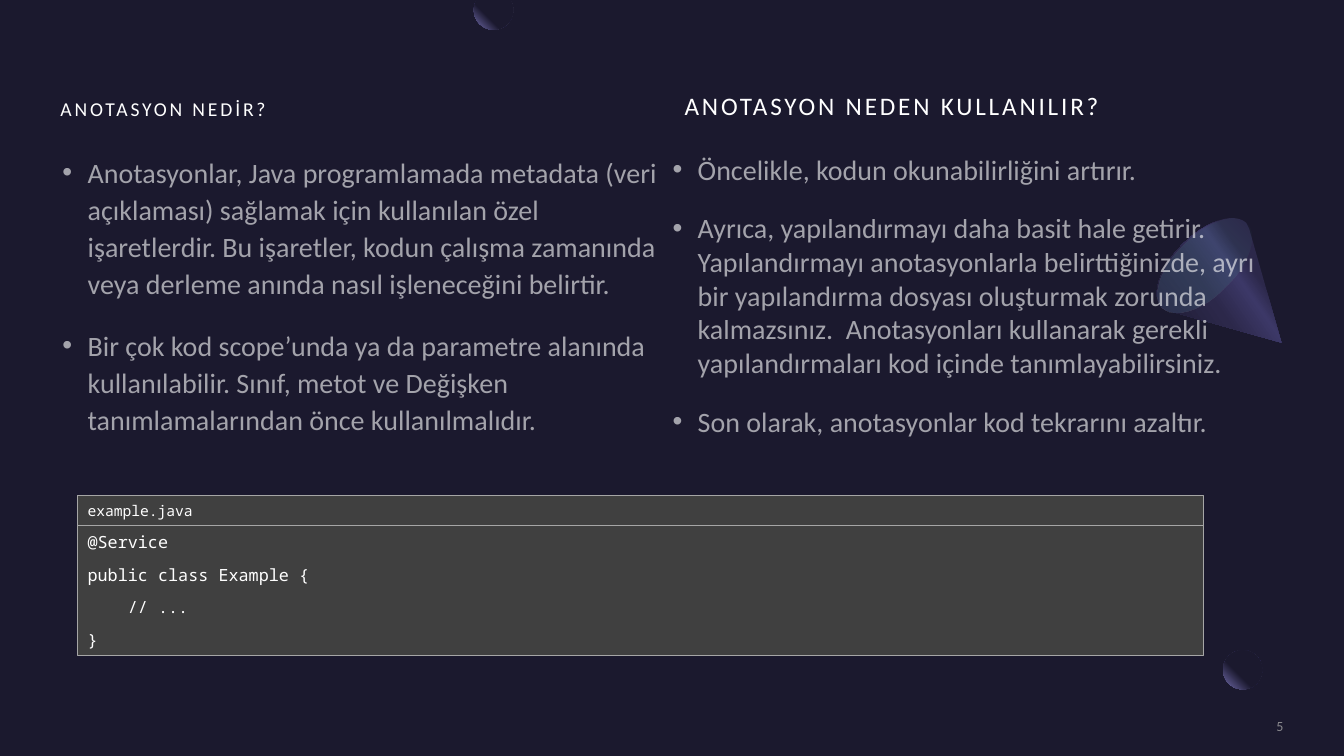
from math import asin, cos, pi, sin

from lxml import etree
from pptx import Presentation
from pptx.dml.color import RGBColor
from pptx.enum.shapes import MSO_SHAPE
from pptx.enum.text import MSO_ANCHOR, PP_ALIGN
from pptx.oxml.ns import qn
from pptx.util import Inches, Pt

OVAL, RECTANGLE = MSO_SHAPE.OVAL, MSO_SHAPE.RECTANGLE
TOP, MIDDLE, BOTTOM = MSO_ANCHOR.TOP, MSO_ANCHOR.MIDDLE, MSO_ANCHOR.BOTTOM
LEFT, RIGHT = PP_ALIGN.LEFT, PP_ALIGN.RIGHT

COLORS = {
    "night": "1B192E",
    "lilac": "7771B2",
    "dusk": "2C284A",
    "violet": "3C3867",
    "indigo": "454075",
    "mint": "5BEFC1",
    "panel": "404040",
    "grey": "A6A6A6",
    "white": "FFFFFF",
}
BODY_FONT = "Calibri"
CODE_FONT = "Noto Sans Mono"
SPHERE_STOPS = [(60, "night", 100), (100, "lilac", 100)]


def child(parent, tag, **attributes):
    return etree.SubElement(parent, qn(tag), {k: str(v) for k, v in attributes.items()})


def set_alpha(fill_parent, percent):
    color = next(fill_parent.iter(qn("a:srgbClr")))
    child(color, "a:alpha", val=percent * 1000)


def bezier(start, first, second, end, steps=12):
    return [
        tuple(
            (1 - t) ** 3 * a + 3 * t * (1 - t) ** 2 * b + 3 * t * t * (1 - t) * c + t ** 3 * d
            for a, b, c, d in zip(start, first, second, end)
        )
        for t in (step / steps for step in range(1, steps + 1))
    ]


class SlideBuilder:
    def __init__(self, presentation):
        self.slide = presentation.slides.add_slide(presentation.slide_layouts[5])
        self.shapes = self.slide.shapes
        background = self.slide.background.fill
        background.solid()
        background.fore_color.rgb = self.color("night")

    def color(self, name):
        return RGBColor.from_string(COLORS[name])

    def paint(self, shape, fill, alpha=100, line=None):
        shape.shadow.inherit = False
        shape.fill.solid()
        shape.fill.fore_color.rgb = self.color(fill)
        if alpha < 100:
            set_alpha(shape._element.spPr.find(qn("a:solidFill")), alpha)
        if line:
            shape.line.color.rgb = self.color(line)
            shape.line.width = Pt(0.75)
        else:
            shape.line.fill.background()

    def gradient(self, shape, stops, angle=None):
        self.paint(shape, "night")
        solid = shape._element.spPr.find(qn("a:solidFill"))
        grad = etree.Element(qn("a:gradFill"), rotWithShape="1")
        stop_list = child(grad, "a:gsLst")
        for position, name, alpha in stops:
            stop = child(stop_list, "a:gs", pos=position * 1000)
            tone = child(stop, "a:srgbClr", val=COLORS[name])
            if alpha < 100:
                child(tone, "a:alpha", val=alpha * 1000)
        if angle is None:
            focus = child(grad, "a:path", path="circle")
            child(focus, "a:fillToRect", l=100000, b=100000)
        else:
            child(grad, "a:lin", ang=angle * 60000, scaled=0)
        solid.getparent().replace(solid, grad)

    def shape(self, kind, left, top, width, height):
        return self.shapes.add_shape(
            kind, Inches(left), Inches(top), Inches(width), Inches(height))

    def outline(self, points):
        scaled = [(Inches(x), Inches(y)) for x, y in points]
        builder = self.shapes.build_freeform(*scaled[0])
        builder.add_line_segments(scaled[1:], close=True)
        return builder.convert_to_shape()

    def set_text(self, shape, lines, size, color="white", alpha=100, font=BODY_FONT, inset=0,
                 anchor=TOP, align=LEFT, spacing=1.0, before=0, after=0, tracking=0,
                 bullets=False):
        frame = shape.text_frame
        frame.word_wrap = True
        frame.vertical_anchor = anchor
        frame.margin_left = frame.margin_right = Inches(inset)
        frame.margin_top = frame.margin_bottom = Inches(inset / 2)
        frame.text = "\n".join(lines)
        for index, paragraph in enumerate(frame.paragraphs):
            paragraph.alignment = align
            paragraph.line_spacing = spacing
            paragraph.space_before = Pt(before if index else 0)
            paragraph.space_after = Pt(after)
            if bullets:
                properties = paragraph._p.get_or_add_pPr()
                properties.set("marL", str(Inches(0.25)))
                properties.set("indent", str(-Inches(0.25)))
                child(properties, "a:buFont", typeface="Arial")
                child(properties, "a:buChar", char="•")
            for run in paragraph.runs:
                run.font.size = Pt(size)
                run.font.name = font
                run.font.color.rgb = self.color(color)
                if alpha < 100:
                    set_alpha(run._r.rPr, alpha)
                if tracking:
                    run._r.rPr.set("spc", str(tracking * 100))

    def text(self, left, top, width, height, lines, size, **style):
        box = self.shapes.add_textbox(
            Inches(left), Inches(top), Inches(width), Inches(height))
        self.set_text(box, lines, size, **style)

    def title(self, left, top, width, height, heading, size, **style):
        title = self.shapes.title
        title.left, title.top = Inches(left), Inches(top)
        title.width, title.height = Inches(width), Inches(height)
        self.set_text(title, [heading], size, **style)

    def code_panel(self, top, height, lines, size):
        panel = self.shape(RECTANGLE, 0.77, top, 11.17, height)
        self.paint(panel, "panel", line="grey")
        self.set_text(panel, lines, size, font=CODE_FONT, inset=0.1, spacing=1.07, after=8)


def decorate(page):
    page.gradient(page.shape(OVAL, 12.13, 6.45, 0.39, 0.39), SPHERE_STOPS)
    page.paint(page.shape(RECTANGLE, 12.52, 6.37, 0.41, 0.39), "night", alpha=80)

    cone = [(12.71, 3.4), (11.58, 3.08), (11.52, 3.05)]
    cone += bezier((11.52, 3.05), (11.41, 2.93), (11.5, 2.65), (11.73, 2.42))
    cone += bezier((11.73, 2.42), (11.96, 2.19), (12.24, 2.1), (12.36, 2.21))
    cone += [(12.39, 2.27)]
    page.gradient(
        page.outline(cone),
        [(30, "dusk", 100), (40, "violet", 100), (60, "dusk", 100), (100, "night", 100)],
        angle=145)
    cone_base = page.shape(OVAL, 11.65, 2.04, 0.59, 1.18)
    cone_base.rotation = 225
    page.gradient(cone_base, [(0, "indigo", 33), (100, "mint", 0)], angle=90)

    radius, center_x, center_y = 0.195, 4.895, 0.1
    start = -asin(center_y / radius)
    sweep = pi - 2 * start
    angles = [start + sweep * step / 40 for step in range(41)]
    half_sphere = [(center_x + radius * cos(a), center_y + radius * sin(a)) for a in angles]
    page.gradient(page.outline(half_sphere), SPHERE_STOPS)


def main():
    presentation = Presentation()
    presentation.slide_width, presentation.slide_height = Inches(13.33), Inches(7.5)
    page = SlideBuilder(presentation)
    decorate(page)

    heading = {"anchor": BOTTOM, "tracking": 2}
    body = {"alpha": 60, "before": 10, "after": 8, "bullets": True}
    page.title(0.6, 0.61, 5.95, 0.59, "ANOTASYON NEDİR?", 14, spacing=1.1, **heading)
    page.text(0.62, 1.51, 5.94, 3.84, [
        "Anotasyonlar, Java programlamada metadata (veri açıklaması) sağlamak için kullanılan "
        "özel işaretlerdir. Bu işaretler, kodun çalışma zamanında veya derleme anında nasıl "
        "işleneceğini belirtir.",
        "Bir çok kod scope’unda ya da parametre alanında kullanılabilir. Sınıf, metot ve "
        "Değişken tanımlamalarından önce kullanılmalıdır.",
    ], 20, spacing=1.1, **body)
    page.text(6.79, 0.61, 5.95, 0.59, ["ANOTASYON NEDEN KULLANILIR?"], 18,
              spacing=1.07, **heading)
    page.text(6.67, 1.51, 5.95, 3.84, [
        "Öncelikle, kodun okunabilirliğini artırır.",
        "Ayrıca, yapılandırmayı daha basit hale getirir. Yapılandırmayı anotasyonlarla "
        "belirttiğinizde, ayrı bir yapılandırma dosyası oluşturmak zorunda kalmazsınız.  "
        "Anotasyonları kullanarak gerekli yapılandırmaları kod içinde tanımlayabilirsiniz.",
        "Son olarak, anotasyonlar kod tekrarını azaltır.",
    ], 20, **body)

    page.code_panel(5.21, 1.29, ["@Service", "public class Example {", "    // ...", "}"], 12)
    page.code_panel(4.92, 0.29, ["example.java"], 10.5)
    page.text(10.88, 7.12, 1.85, 0.17, ["5"], 10, color="grey", alpha=80,
              anchor=MIDDLE, align=RIGHT)
    presentation.save("out.pptx")


if __name__ == "__main__":
    main()
